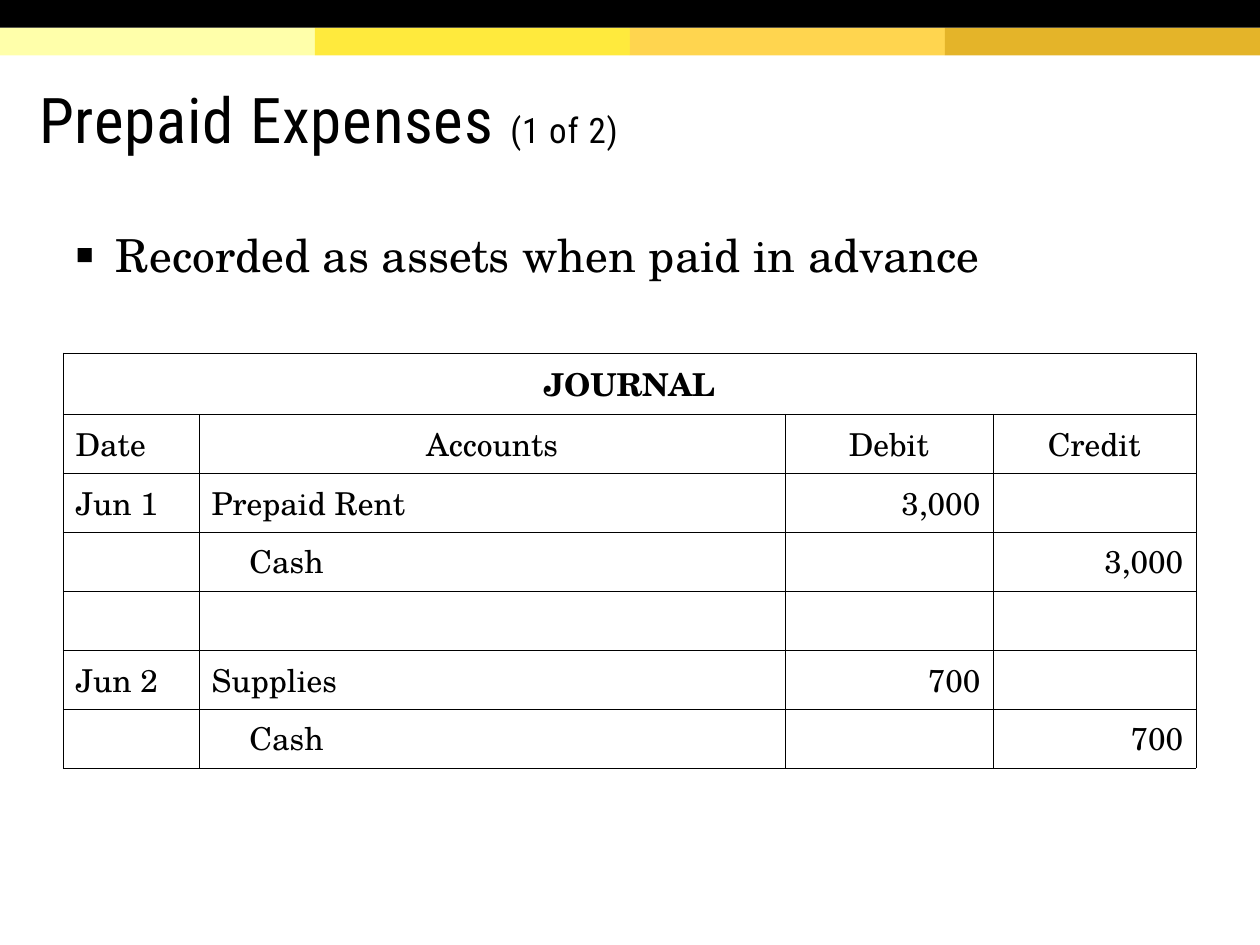
from lxml import etree
from pptx import Presentation
from pptx import util as u
from pptx.dml.color import RGBColor
from pptx.enum import shapes, text
from pptx.oxml.ns import qn

HUES = {"ink": "000000", "pale": "FFFFAA", "lemon": "FFEA3D",
        "amber": "FFD54F", "gold": "E4B429"}
HEAD, SERIF = "Roboto Condensed", "TeX Gyre Schola"
TITLE = [("Prepaid Expenses ", 36), ("(1 of 2)", 20)]
POINT = "Recorded as assets when paid in advance"
JOURNAL = [
    ("JOURNAL", "", "", ""),
    ("Date", "Accounts", "Debit", "Credit"),
    ("Jun 1", "Prepaid Rent", "3,000", ""),
    ("", "Cash", "", "3,000"),
    ("", "", "", ""),
    ("Jun 2", "Supplies", "700", ""),
    ("", "Cash", "", "700"),
]
WIDTHS = [1.08, 4.65, 1.65, 1.61]
ROW, BLANK = 0.43, 0.47
BAND = 0.22
LEFT, MID, RIGHT = (text.PP_ALIGN.LEFT, text.PP_ALIGN.CENTER,
                    text.PP_ALIGN.RIGHT)


def color(name):
    return RGBColor.from_string(HUES[name])


def place(shape, *box):
    shape.left, shape.top, shape.width, shape.height = map(u.Inches, box)


def style(font, face, size, bold=False):
    font.name, font.size, font.bold = face, u.Pt(size), bold
    font.color.rgb = color("ink")


def add(parent, tag, **attrs):
    return etree.SubElement(parent, qn(tag), attrs)


def band(slide, hue, x, y, w):
    bar = slide.shapes.add_shape(shapes.MSO_SHAPE.RECTANGLE, u.Inches(x),
                                 u.Inches(y), u.Inches(w), u.Inches(BAND))
    bar.shadow.inherit = False
    bar.fill.solid()
    bar.fill.fore_color.rgb = color(hue)
    bar.line.fill.background()


def add_title(slide):
    title = slide.shapes.title
    place(title, 0.21, 0.47, 9.49, 0.98)
    frame = title.text_frame
    frame.auto_size = text.MSO_AUTO_SIZE.NONE
    frame.vertical_anchor = text.MSO_ANCHOR.MIDDLE
    frame.margin_left = frame.margin_right = frame.margin_top = u.Inches(0.1)
    para = frame.paragraphs[0]
    para.alignment, para.line_spacing = LEFT, 0.85
    for words, size in TITLE:
        run = para.add_run()
        run.text = words
        style(run.font, HEAD, size)
        run.font._element.set("spc", "50")


def add_point(slide):
    body = slide.placeholders[1]
    place(body, 0.5, 1.75, 9, 0.58)
    frame = body.text_frame
    frame.auto_size = text.MSO_AUTO_SIZE.NONE
    para = frame.paragraphs[0]
    para.text = POINT
    props = para._p.get_or_add_pPr()
    props.set("marL", str(u.Inches(0.32)))
    props.set("indent", str(u.Inches(-0.32)))
    add(add(props, "a:buClr"), "a:srgbClr", val=HUES["ink"])
    add(props, "a:buSzPct", val="85000")
    add(props, "a:buFont", typeface=SERIF)
    add(props, "a:buChar", char="▪")
    para.space_before, para.space_after = u.Pt(0), u.Pt(8)
    style(para.font, SERIF, 26)


def border(cell):
    props = cell._tc.get_or_add_tcPr()
    for side in ("a:lnL", "a:lnR", "a:lnT", "a:lnB"):
        line = add(props, side, w=str(u.Pt(0.25)))
        add(add(line, "a:solidFill"), "a:srgbClr", val=HUES["ink"])


def align(row, col):
    if row == 0 or (row == 1 and col):
        return MID
    return RIGHT if col > 1 else LEFT


def add_journal(slide):
    count = len(JOURNAL)
    frame = slide.shapes.add_table(count, len(WIDTHS), u.Inches(0.5),
                                   u.Inches(2.8), u.Inches(sum(WIDTHS)),
                                   u.Inches(ROW * count))
    table = frame.table
    table.first_row = table.horz_banding = False
    for col, width in zip(table.columns, WIDTHS):
        col.width = u.Inches(width)
    for r, entry in enumerate(JOURNAL):
        table.rows[r].height = u.Inches(ROW if any(entry) else BLANK)
        for c, words in enumerate(entry):
            cell = table.cell(r, c)
            border(cell)
            cell.fill.background()
            para = cell.text_frame.paragraphs[0]
            if words:
                para.text = words
            para.alignment = align(r, c)
            style(para.font, SERIF, 18, r == 0)
            if words == "Cash":
                para._p.get_or_add_pPr().set("marL", str(u.Inches(0.3)))
    table.cell(0, 0).merge(table.cell(0, len(WIDTHS) - 1))


def main():
    deck = Presentation()
    deck.slide_width, deck.slide_height = u.Inches(10), u.Inches(7.5)
    slide = deck.slides.add_slide(deck.slide_layouts[1])
    for i, hue in enumerate(("pale", "lemon", "amber", "gold")):
        band(slide, hue, 2.5 * i, BAND, 2.5)
    band(slide, "ink", 0, 0, 10)
    add_title(slide)
    add_point(slide)
    add_journal(slide)
    deck.save("out.pptx")


if __name__ == "__main__":
    main()
